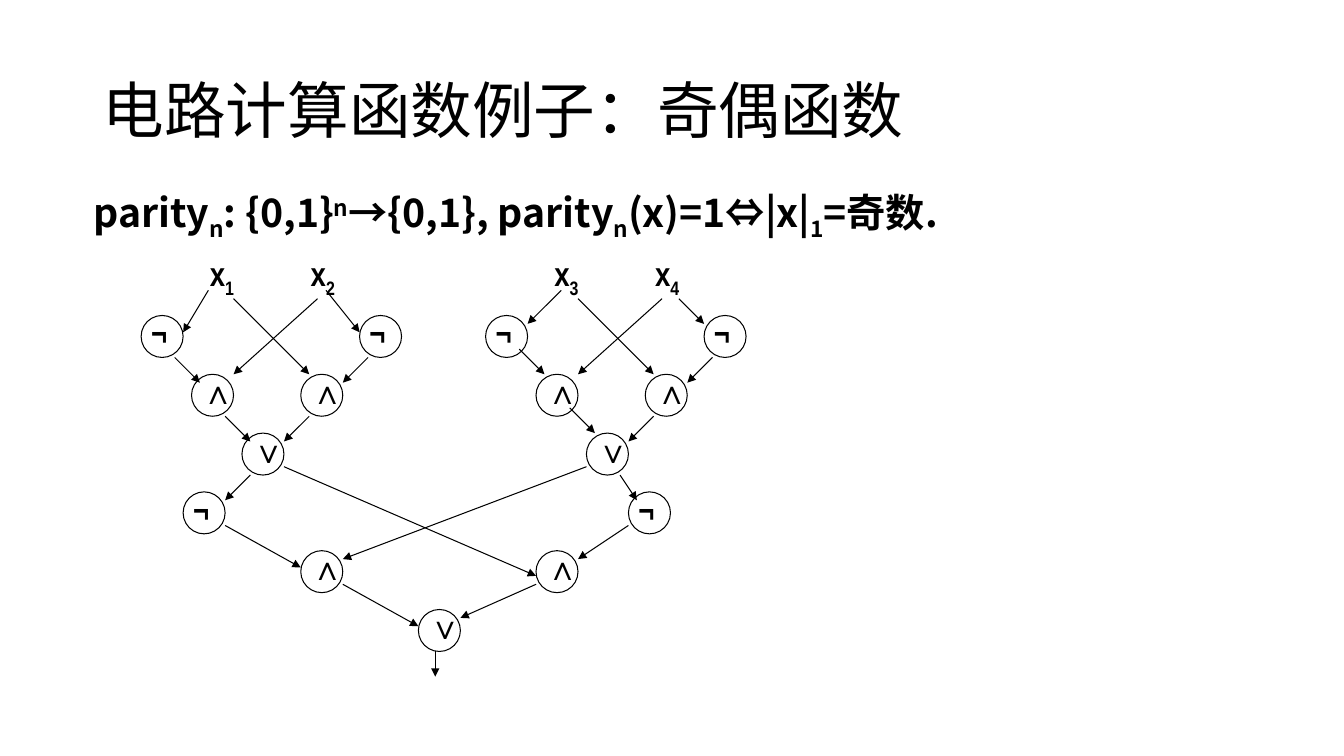
"""Builds a slide with a Boolean circuit for the parity function."""
from lxml.etree import SubElement as Sub
from pptx import Presentation
from pptx.dml.color import RGBColor as RGB
from pptx.enum.shapes import MSO_CONNECTOR as LINK, MSO_SHAPE as SHAPE
from pptx.enum.text import MSO_ANCHOR as ANCHOR
from pptx.oxml.ns import qn
from pptx.util import Inches, Pt

BLACK = RGB(0, 0, 0)
SANS = "Noto Sans CJK SC"
NARROW = "Arial Narrow"
UNIT = Inches(1) / 12
LEFT, TOP = Inches(1.4), Inches(3.13)
HALF = 41
SIZE = 5


def spot(col, row):
    return int(LEFT + col * UNIT), int(TOP + row * UNIT)


def write(box, runs, size, face, bold=True):
    frame = slide.shapes.add_textbox(*box).text_frame
    frame.word_wrap = True
    line = frame.paragraphs[0]
    for text, base in runs:
        run = line.add_run()
        run.text = text
        font = run.font
        font.size, font.name, font.bold = Pt(size), face, bold
        font.color.rgb = BLACK
        props = font._element
        Sub(props, qn("a:ea")).set("typeface", face)
        if base:
            props.set("baseline", str(base * 1000))
    return frame


deck = Presentation()
deck.slide_width, deck.slide_height = Inches(13.33), Inches(7.5)
slide = deck.slides.add_slide(deck.slide_layouts[6])

box = Inches(0.92), Inches(0.4), Inches(11.5), Inches(1.45)
title = write(box, [("电路计算函数例子：奇偶函数", 0)], 44, SANS, False)
title.vertical_anchor = ANCHOR.MIDDLE
title.paragraphs[0].line_spacing = 0.9

claim = [("parity", 0), ("n", -25), (": {0,1}", 0), ("n", 30),
         ("→{0,1}, parity", 0), ("n", -25), ("(x)=1⇔|x|", 0),
         ("1", -25), ("=奇数.", 0)]
box = Inches(0.83), Inches(1.83), Inches(11.5), Inches(4.76)
body = write(box, claim, 28, SANS)
body.paragraphs[0].line_spacing = 0.9
body.paragraphs[0].space_before = Pt(10)

block = [("¬", 0, 0), ("¬", 26, 0), ("∧", 6, 7), ("∧", 19, 7), ("∨", 12, 14)]
gates = [("¬", 5, 21), ("¬", 58, 21), ("∧", 19, 28), ("∧", 47, 28),
         ("∨", 33, 35)]
wires = [(27, 5, 24, 8), (20, 12, 17, 15), (11, -2, 20, 7), (21, -2, 11, 7)]
links = [
    (8, -3, 5, 2), (22, -3, 26, 2), (4, 5, 7, 8), (10, 12, 13, 15),
    (50, -3, 46, 1), (64, -2, 67, 1), (45, 4, 48, 7), (51, 11, 54, 14),
    (13, 19, 10, 22), (57, 19, 59, 22), (17, 18, 47, 31), (53, 18, 24, 29),
    (10, 25, 19, 30), (58, 25, 52, 29), (24, 32, 33, 37), (47, 32, 38, 36),
    (35, 40, 35, 43),
]
names = []
for side in range(2):
    shift = side * HALF
    gates += [(sign, col + shift, row) for sign, col, row in block]
    links += [(a + shift, b, c + shift, d) for a, b, c, d in wires]
    names += [(2 * side + 1, 7 + shift), (2 * side + 2, 19 + shift)]

for sign, col, row in gates:
    ring = slide.shapes.add_shape(
        SHAPE.OVAL, *spot(col, row), int(SIZE * UNIT), int(SIZE * UNIT))
    ring.shadow.inherit = False
    ring.fill.background()
    ring.line.color.rgb = BLACK
    ring.line.width = Pt(0.75)
    box = *spot(col, row - 1), int(6 * UNIT), int(6 * UNIT)
    write(box, [(sign, 0)], 24, NARROW)

for a, b, c, d in links:
    link = slide.shapes.add_connector(LINK.STRAIGHT, *spot(a, b), *spot(c, d))
    link.line.color.rgb = BLACK
    link.line.width = Pt(0.75)
    Sub(link.line._get_or_add_ln(), qn("a:tailEnd")).set("type", "triangle")
    Sub(link._element.spPr, qn("a:effectLst"))

for num, col in names:
    box = *spot(col, -8), int(7 * UNIT), int(6 * UNIT)
    write(box, [("x", 0), (str(num), -25)], 24, NARROW)

deck.save("out.pptx")
